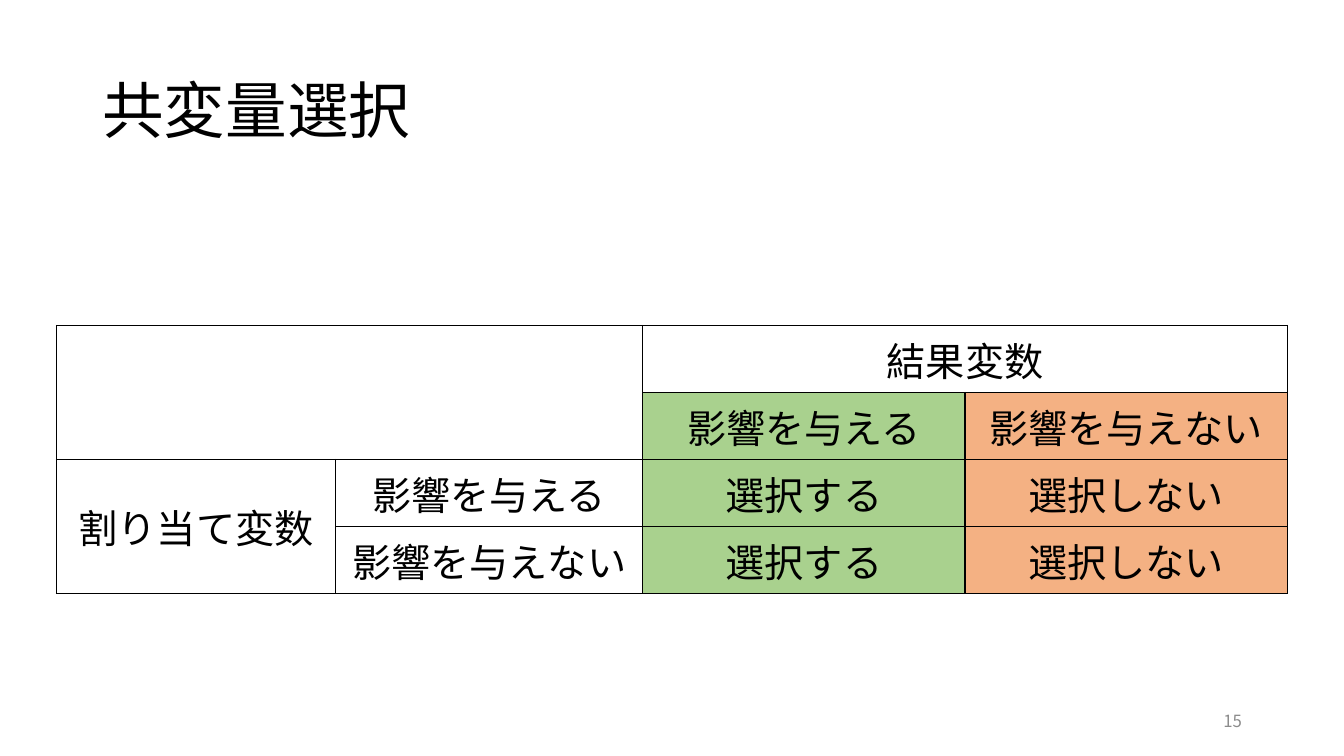
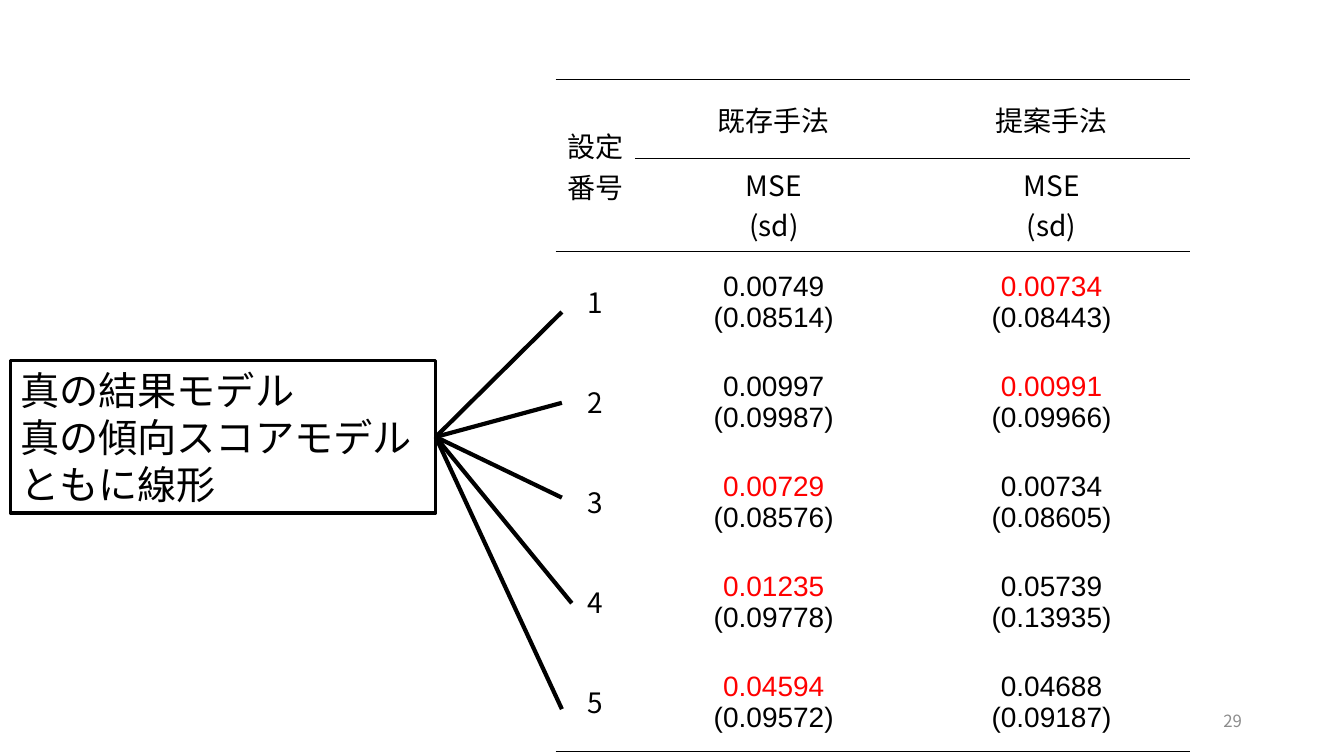
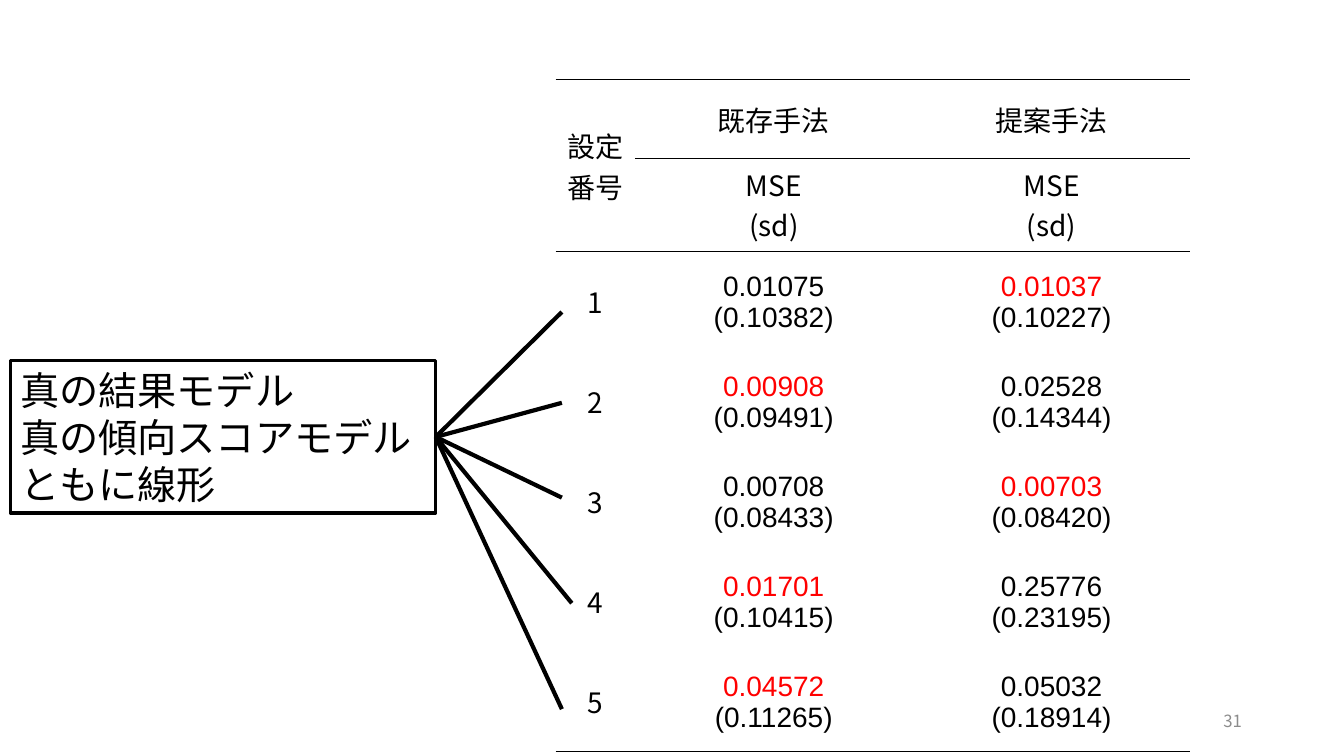
from lxml.etree import SubElement
from pptx import Presentation
from pptx.dml.color import RGBColor
from pptx.enum.shapes import MSO_CONNECTOR, MSO_SHAPE
from pptx.enum.text import MSO_ANCHOR, MSO_AUTO_SIZE, PP_ALIGN
from pptx.oxml.ns import qn
from pptx.util import Cm, Pt

COLORS = {
    "ink": "000000",
    "best": "FF0000",
    "number": "8C8C8C",
    "select": "A9D18E",
    "reject": "F4B183",
}
JAPANESE = "Noto Sans CJK JP"
NUMERIC = "Arial"
PLAIN_TABLE = "{2D5ABB26-0587-4C30-8999-92F81FD0307C}"

MODEL_NOTE = "真の結果モデル\n真の傾向スコアモデルともに線形"
RAY_ENDS = [(3.18, -1.23), (3.18, 1.06), (3.18, 3.45), (3.43, 6.11), (3.18, 8.78)]
RESULTS = {
    29: [
        ("0.00749", "0.08514", "0.00734", "0.08443"),
        ("0.00997", "0.09987", "0.00991", "0.09966"),
        ("0.00729", "0.08576", "0.00734", "0.08605"),
        ("0.01235", "0.09778", "0.05739", "0.13935"),
        ("0.04594", "0.09572", "0.04688", "0.09187"),
    ],
    31: [
        ("0.01075", "0.10382", "0.01037", "0.10227"),
        ("0.00908", "0.09491", "0.02528", "0.14344"),
        ("0.00708", "0.08433", "0.00703", "0.08420"),
        ("0.01701", "0.10415", "0.25776", "0.23195"),
        ("0.04572", "0.11265", "0.05032", "0.18914"),
    ],
}


def rgb(name):
    """Return the named colour."""
    return RGBColor.from_string(COLORS[name])


def write(frame, text, size=20, font=JAPANESE, color="ink", first_color=None,
          align=PP_ALIGN.LEFT, spacing=None):
    """Fill a text frame with one paragraph for each line of text."""
    for index, line in enumerate(text.split("\n")):
        para = frame.add_paragraph() if index else frame.paragraphs[0]
        para.alignment = align
        if spacing:
            para.line_spacing = spacing
        span = para.add_run()
        span.text = line
        span.font.size = Pt(size)
        span.font.name = font
        span.font.color.rgb = rgb(color if index else first_color or color)
        SubElement(span.font._element, qn("a:ea"), typeface=font)


def add_text(page, box, text, **format):
    """Add a wrapped, vertically centred text box."""
    frame = page.shapes.add_textbox(*map(Cm, box)).text_frame
    frame.word_wrap = True
    frame.vertical_anchor = MSO_ANCHOR.MIDDLE
    write(frame, text, **format)


def add_plain_table(page, left, top, widths, heights):
    """Add an unstyled table with the given columns and rows."""
    frame = page.shapes.add_table(len(heights), len(widths), Cm(left), Cm(top),
                                  Cm(sum(widths)), Cm(sum(heights)))
    table = frame.table
    table.first_row = table.horz_banding = False
    table._tbl.tblPr.find(qn("a:tableStyleId")).text = PLAIN_TABLE
    for column, width in zip(table.columns, widths):
        column.width = Cm(width)
    for row, height in zip(table.rows, heights):
        row.height = Cm(height)
    return table


def format_cell(cell, ruled, fill=None):
    """Centre a cell, rule only the given sides and set its fill."""
    cell.vertical_anchor = MSO_ANCHOR.MIDDLE
    for side in "LRTB":
        line = SubElement(cell._tc.get_or_add_tcPr(), qn(f"a:ln{side}"), w=str(Pt(1)))
        if side in ruled:
            solid = SubElement(line, qn("a:solidFill"))
            SubElement(solid, qn("a:srgbClr"), val=COLORS["ink"])
        else:
            SubElement(line, qn("a:noFill"))
    if fill:
        cell.fill.solid()
        cell.fill.fore_color.rgb = rgb(fill)
    else:
        cell.fill.background()


def add_selection_table(page, left, top):
    """Add the grid that tells which covariates are selected."""
    rows = [
        ("", "", "結果変数", ""),
        ("", "", "影響を与える", "影響を与えない"),
        ("割り当て変数", "影響を与える", "選択する", "選択しない"),
        ("", "影響を与えない", "選択する", "選択しない"),
    ]
    fills = (None, None, "select", "reject")
    table = add_plain_table(page, left, top, (7.04, 7.74, 8.12, 8.12), [1.69] * 4)
    for first, last in (((0, 0), (1, 1)), ((0, 2), (0, 3)), ((2, 0), (3, 0))):
        table.cell(*first).merge(table.cell(*last))
    for row, texts in enumerate(rows):
        for column, text in enumerate(texts):
            cell = table.cell(row, column)
            format_cell(cell, "LRTB", fills[column] if row else None)
            if text:
                write(cell.text_frame, text, size=28, align=PP_ALIGN.CENTER)


def add_result_table(page, left, top, results):
    """Add the error table, with the smaller error of each row in red."""
    heights = [2, 2.34] + [2.52] * len(results)
    table = add_plain_table(page, left, top, (2, 7, 7), heights)
    table.cell(0, 0).merge(table.cell(1, 0))
    last = len(results) + 1
    for row in range(last + 1):
        ruled = "TB" if row < 2 else "T" if row == 2 else "B" if row == last else ""
        for column in range(3):
            format_cell(table.cell(row, column), ruled)
    write(table.cell(0, 0).text_frame, "設定番号", align=PP_ALIGN.CENTER)
    for column, method in enumerate(("既存手法", "提案手法"), 1):
        write(table.cell(0, column).text_frame, method, align=PP_ALIGN.CENTER)
        measure = table.cell(1, column)
        measure.vertical_anchor = MSO_ANCHOR.TOP
        write(measure.text_frame, "MSE\n(sd)", align=PP_ALIGN.CENTER)
    for setting, (old, old_sd, new, new_sd) in enumerate(results, 1):
        row = setting + 1
        write(table.cell(row, 0).text_frame, str(setting), align=PP_ALIGN.CENTER)
        best = min(old, new, key=float)
        for column, (error, deviation) in enumerate(((old, old_sd), (new, new_sd)), 1):
            cell = table.cell(row, column)
            cell.margin_left = cell.margin_right = cell.margin_top = Cm(0.03)
            cell.margin_bottom = 0
            write(cell.text_frame, f"{error}\n({deviation})", font=NUMERIC,
                  first_color="best" if error == best else None, align=PP_ALIGN.CENTER)


def add_model_note(page, left, top, width, height):
    """Add the framed note and its rays to the table rows."""
    note = page.shapes.add_shape(MSO_SHAPE.RECTANGLE, *map(Cm, (left, top, width, height)))
    note.shadow.inherit = False
    note.fill.background()
    note.line.color.rgb = rgb("ink")
    note.line.width = Pt(2.25)
    frame = note.text_frame
    frame.word_wrap = True
    frame.auto_size = MSO_AUTO_SIZE.SHAPE_TO_FIT_TEXT
    write(frame, MODEL_NOTE, size=28)
    right = left + width
    for across, down in RAY_ENDS:
        ray = page.shapes.add_connector(MSO_CONNECTOR.STRAIGHT, Cm(right), Cm(top + height / 2),
                                        Cm(right + across), Cm(top + down))
        ray.begin_connect(note, 3)
        ray.line.color.rgb = rgb("ink")
        ray.line.width = Pt(3)
        SubElement(ray._element.spPr, qn("a:effectLst"))


def add_page(deck, number):
    """Add a blank page with its number."""
    page = deck.slides.add_slide(deck.slide_layouts[6])
    add_text(page, (23.93, 17.65, 7.62, 1.02), str(number), size=12,
             color="number", align=PP_ALIGN.RIGHT)
    return page


def add_selection_page(deck):
    """Add the page on covariate selection."""
    page = add_page(deck, 15)
    add_text(page, (2.33, 1.02, 29.21, 3.68), "共変量選択", size=44, spacing=0.9)
    add_selection_table(page, 1.42, 8.2)


def add_result_page(deck, number, results):
    """Add a page that compares the two methods."""
    page = add_page(deck, number)
    add_result_table(page, 14, 2, results)
    add_model_note(page, 0.26, 9.09, 10.72, 3.84)


def main():
    """Build and save the deck."""
    deck = Presentation()
    deck.slide_width, deck.slide_height = Cm(33.87), Cm(19.05)
    add_selection_page(deck)
    for number, results in RESULTS.items():
        add_result_page(deck, number, results)
    deck.save("out.pptx")


if __name__ == "__main__":
    main()
